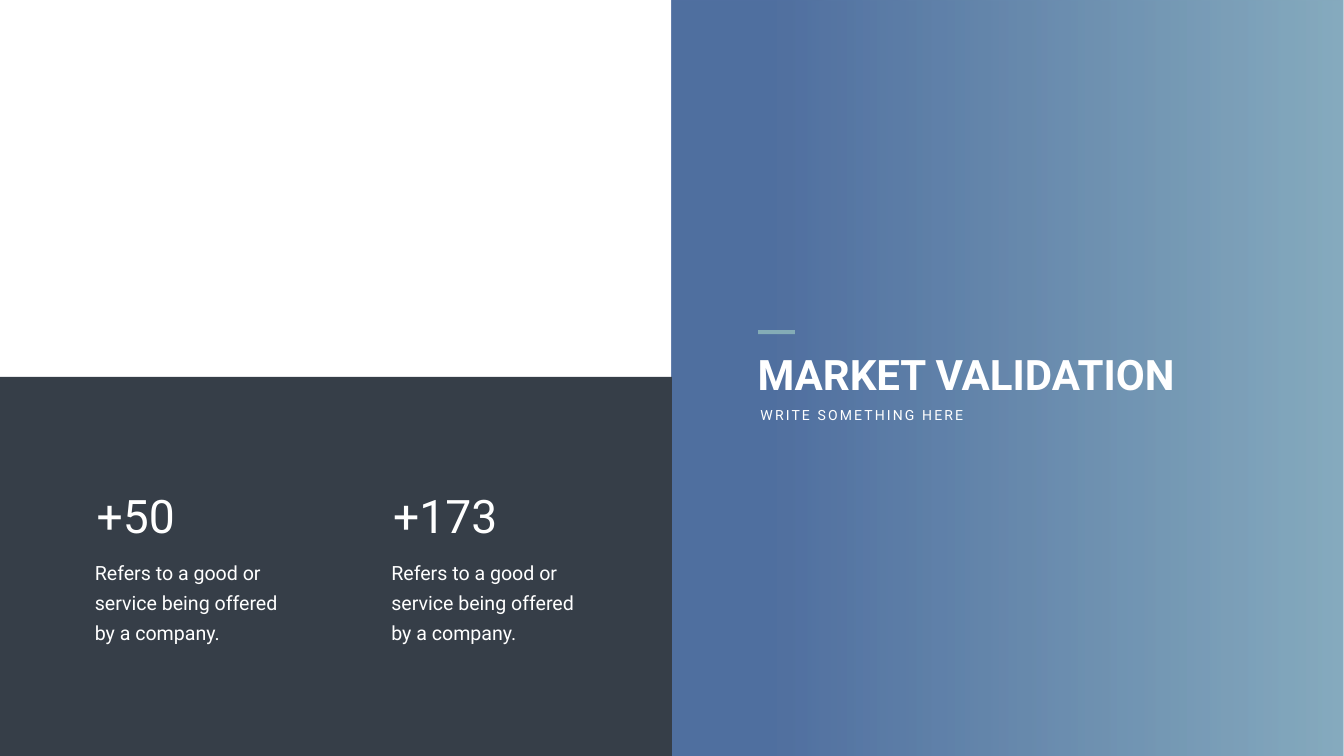
"""Build the market validation slide with two key figures."""
from lxml.etree import SubElement
from pptx import Presentation
from pptx.dml.color import RGBColor as Rgb
from pptx.enum.shapes import MSO_SHAPE as Kind
from pptx.enum.text import MSO_ANCHOR as Anchor, MSO_AUTO_SIZE as Fit, PP_ALIGN as Align
from pptx.oxml.ns import qn
from pptx.util import Cm, Pt

COLORS = {"white": "FFFFFF", "slate": "363E48", "teal": "84ACB6",
          "navy": "264D89", "mist": "6997AF"}
WIDE, HIGH = 67.72, 38.1
HALF = WIDE / 2
FACTS = [("+50", 4.5), ("+173", 5.82)]
BLURB = "Refers to a good or service being offered by a company."


class Deck:
    def __init__(self, slide, font="Roboto"):
        self.slide = slide
        self.font = font

    def color(self, name):
        return Rgb.from_string(COLORS[name])

    def block(self, x, y, w, h, fill=None):
        shape = self.slide.shapes.add_shape(Kind.RECTANGLE, Cm(x), Cm(y), Cm(w), Cm(h))
        shape.shadow.inherit = False
        shape.line.fill.background()
        if fill:
            shape.fill.solid()
            shape.fill.fore_color.rgb = self.color(fill)
        return shape

    def fade(self, x, y, w, h, stops, alpha):
        shape = self.block(x, y, w, h)
        fill = shape.fill
        fill.gradient()
        fill.gradient_angle = 0
        for stop, (place, name) in zip(fill.gradient_stops, stops):
            stop.position = place
            stop.color.rgb = self.color(name)
        for node in shape._element.iter(qn("a:srgbClr")):
            SubElement(node, qn("a:alpha")).set("val", str(alpha * 1000))

    def text(self, frame, words, size, bold=False, track=0, lead=None):
        para = frame.paragraphs[0]
        para.alignment = Align.LEFT
        if lead:
            para.line_spacing = Pt(lead)
        run = para.add_run()
        run.text = words
        font = run.font
        font.name, font.size, font.bold = self.font, Pt(size), bold
        font.color.rgb = self.color("white")
        if track:
            run._r.get_or_add_rPr().set("spc", str(track * 100))

    def label(self, x, y, w, h, words, size, wrap=False, pad=None, **style):
        box = self.slide.shapes.add_textbox(Cm(x), Cm(y), Cm(w), Cm(h))
        frame = box.text_frame
        frame.word_wrap = wrap
        frame.auto_size = Fit.SHAPE_TO_FIT_TEXT
        if pad:
            frame.margin_left = frame.margin_right = Cm(pad[0])
            frame.margin_top = frame.margin_bottom = Cm(pad[1])
        self.text(frame, words, size, **style)

    def title(self, x, y, w, h, words, size):
        shape = self.slide.shapes.title
        shape.left, shape.top, shape.width, shape.height = Cm(x), Cm(y), Cm(w), Cm(h)
        self.slide.shapes._spTree.append(shape._element)
        frame = shape.text_frame
        frame.word_wrap = True
        frame.auto_size = Fit.NONE
        frame.vertical_anchor = Anchor.TOP
        self.text(frame, words, size, bold=True)


def main():
    show = Presentation()
    show.slide_width, show.slide_height = Cm(WIDE), Cm(HIGH)
    deck = Deck(show.slides.add_slide(show.slide_layouts[5]))
    deck.fade(HALF, 0, HALF, HIGH, [(0.15, "navy"), (1, "mist")], 80)
    deck.block(0, 19, HALF, HIGH - 19, "slate")
    deck.title(37.92, 17.42, 22.3, 2.82, "MARKET VALIDATION", 60)
    deck.label(38.07, 20.35, 11.05, 1.12, "WRITE SOMETHING HERE", 20, track=3)
    deck.block(38.2, 16.64, 1.85, 0.2, "teal")
    for col, (count, width) in enumerate(FACTS):
        left = 4.17 + col * 14.94
        deck.label(left, 27.64, 10.59, 5.08, BLURB, 28, wrap=True, pad=(0.61, 0.3), lead=43)
        deck.label(left + 0.45, 24.41, width, 3.07, count, 66)
    show.save("out.pptx")


if __name__ == "__main__":
    main()
